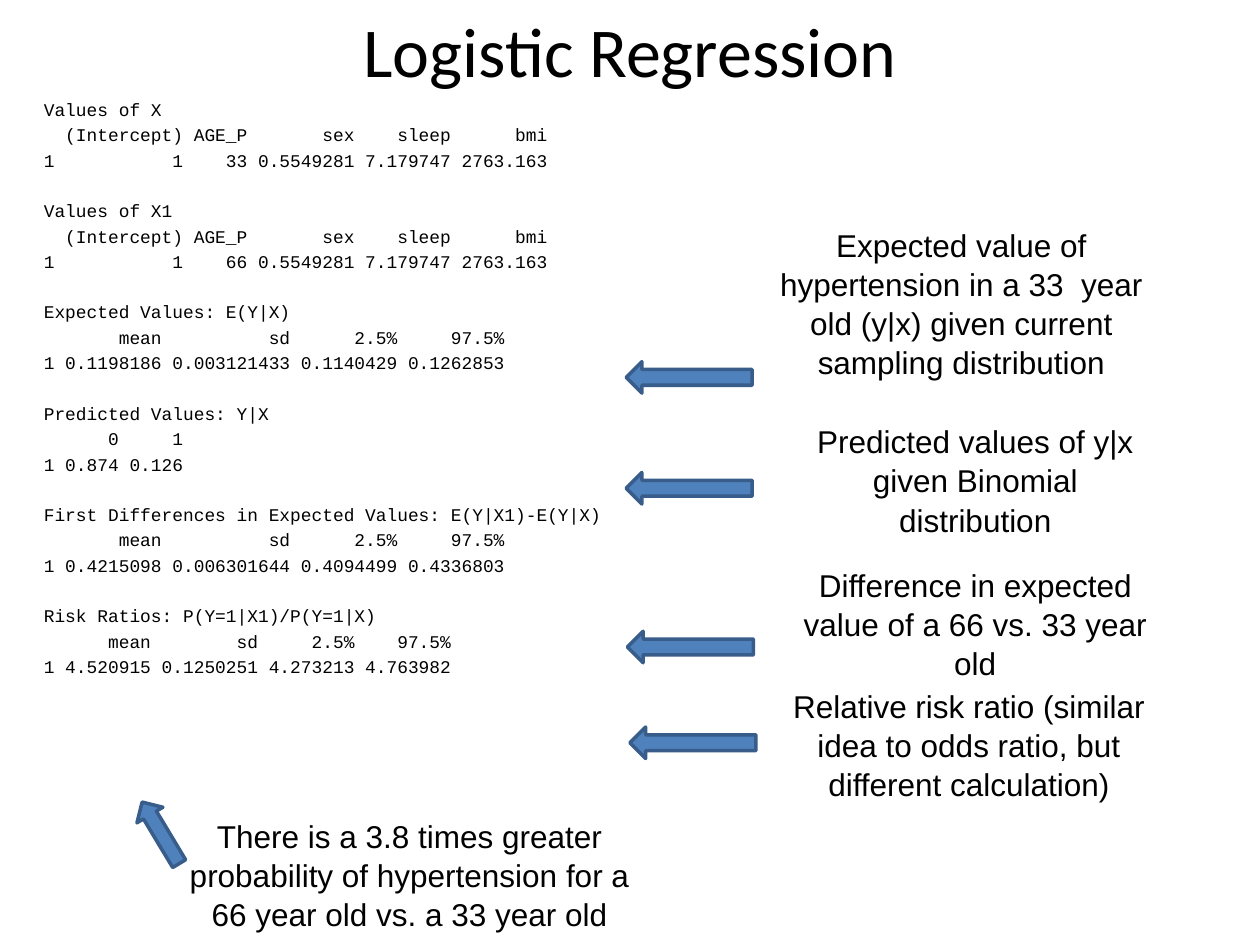
from pptx import Presentation
from pptx.dml.color import RGBColor
from pptx.enum.shapes import MSO_SHAPE
from pptx.enum.text import MSO_ANCHOR, MSO_AUTO_SIZE, PP_ALIGN
from pptx.util import Inches, Pt

BLACK = RGBColor(0x00, 0x00, 0x00)
BLUE = RGBColor(0x4F, 0x81, 0xBD)
NAVY = RGBColor(0x38, 0x5D, 0x8A)

TITLE = "Logistic Regression"
VARS = "  (Intercept) AGE_P       sex    sleep      bmi"
STATS = "       mean          sd      2.5%     97.5%"
CODE = [
    ("Values of X", VARS,
     "1           1    33 0.5549281 7.179747 2763.163"),
    ("Values of X1", VARS,
     "1           1    66 0.5549281 7.179747 2763.163"),
    ("Expected Values: E(Y|X)", STATS,
     "1 0.1198186 0.003121433 0.1140429 0.1262853"),
    ("Predicted Values: Y|X",
     "      0     1",
     "1 0.874 0.126"),
    ("First Differences in Expected Values: E(Y|X1)-E(Y|X)", STATS,
     "1 0.4215098 0.006301644 0.4094499 0.4336803"),
    ("Risk Ratios: P(Y=1|X1)/P(Y=1|X)",
     "      mean        sd     2.5%    97.5%",
     "1 4.520915 0.1250251 4.273213 4.763982"),
]
NOTES = [
    ("Expected value of hypertension in a 33  year old (y|x) "
     "given current sampling distribution", (6.08, 1.73, 3.1, 1.3)),
    ("Predicted values of y|x given Binomial distribution",
     (6.27, 3.29, 2.94, 1)),
    ("Difference in expected value of a 66 vs. 33 year old",
     (6.15, 4.43, 3.18, 1)),
    ("Relative risk ratio (similar idea to odds ratio, "
     "but different calculation)", (6.15, 5.39, 3.08, 1)),
    ("There is a 3.8 times greater probability of hypertension for a "
     "66 year old vs. a 33 year old", (1.25, 6.42, 4, 1)),
]
ARROWS = [
    (4.97, 2.87, 1, 0.25, 0),
    (4.97, 3.75, 1, 0.25, 0),
    (4.98, 5.01, 1, 0.25, 0),
    (5, 5.77, 1, 0.25, 0),
    (0.99, 6.49, 0.57, 0.24, 59),
]
STEP = 3.6
ROW = 14


def write(frame, lines, size, font, align=PP_ALIGN.LEFT, pitch=1.0,
          gaps=None, anchor=MSO_ANCHOR.TOP):
    frame.word_wrap = True
    frame.auto_size = MSO_AUTO_SIZE.NONE
    frame.vertical_anchor = anchor
    for i, line in enumerate(lines):
        para = frame.paragraphs[0] if i == 0 else frame.add_paragraph()
        para.alignment = align
        para.line_spacing = pitch
        para.space_before = Pt(gaps[i] if gaps else 0)
        run = para.add_run()
        run.text = line
        run.font.size = Pt(size)
        run.font.name = font
        run.font.color.rgb = BLACK


def add_box(slide, place):
    return slide.shapes.add_textbox(*map(Inches, place)).text_frame


def add_arrow(slide, x, y, w, h, turn):
    arrow = slide.shapes.add_shape(
        MSO_SHAPE.LEFT_ARROW, *map(Inches, (x, y, w, h)))
    arrow.rotation = turn
    arrow.shadow.inherit = False
    arrow.fill.solid()
    arrow.fill.fore_color.rgb = BLUE
    arrow.line.color.rgb = NAVY
    arrow.line.width = Pt(2)


def main():
    deck = Presentation()
    deck.slide_width, deck.slide_height = Inches(10), Inches(7.5)
    slide = deck.slides.add_slide(deck.slide_layouts[5])

    head = slide.shapes.title
    head.left, head.top, head.width, head.height = map(
        Inches, (0.5, 0, 9, 0.78))
    write(head.text_frame, [TITLE], 40, "Calibri", align=PP_ALIGN.CENTER,
          anchor=MSO_ANCHOR.MIDDLE)

    lines = [line for block in CODE for line in block]
    gaps = [STEP + (ROW if row == 0 else 0)
            for block in CODE for row in range(len(block))]
    gaps[0] = 0
    write(add_box(slide, (0.25, 0.75, 9, 4.95)), lines, 10.2, "Courier New",
          pitch=0.9, gaps=gaps)

    for note, place in NOTES:
        write(add_box(slide, place), [note], 18, "Arial",
              align=PP_ALIGN.CENTER, pitch=1.04)
    for arrow in ARROWS:
        add_arrow(slide, *arrow)

    deck.save("out.pptx")


if __name__ == "__main__":
    main()
